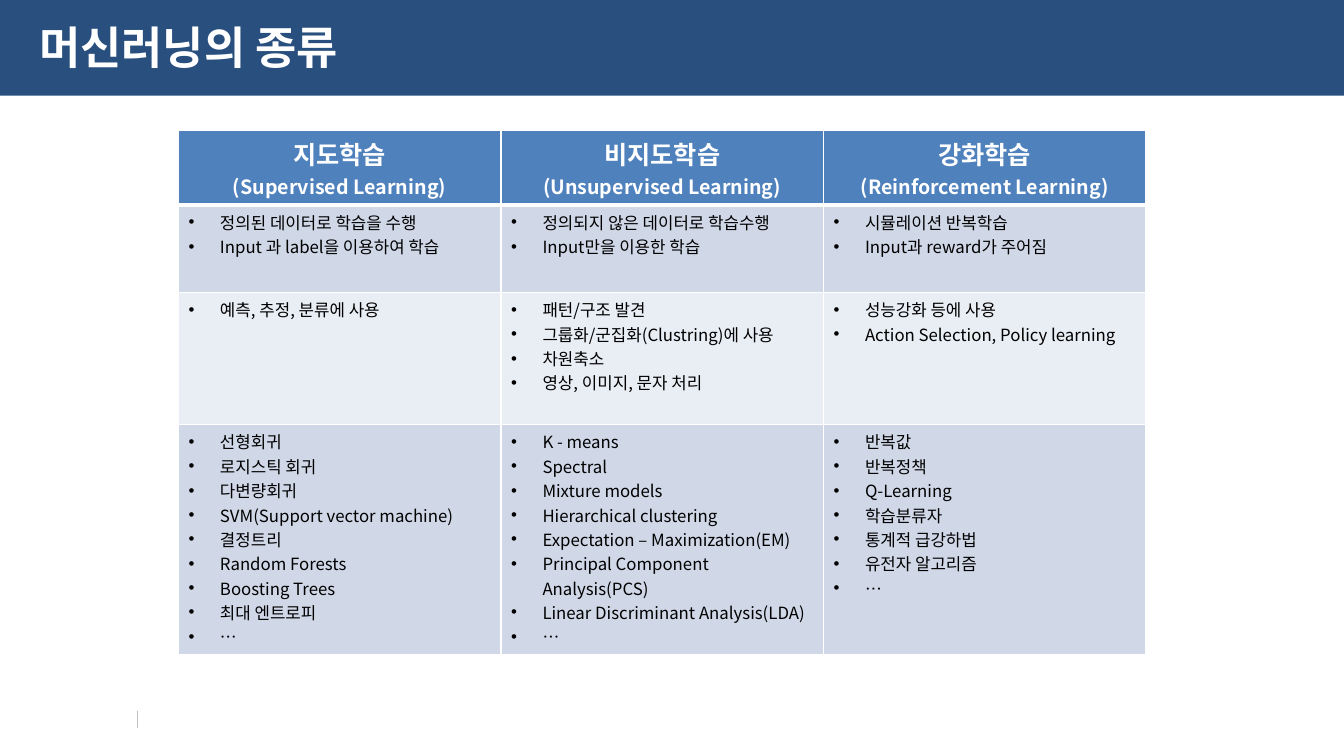
"""Build a slide that compares three kinds of machine learning."""
from dataclasses import dataclass

from lxml.etree import SubElement
from pptx import Presentation
from pptx.dml.color import RGBColor
from pptx.enum.shapes import MSO_CONNECTOR, MSO_SHAPE
from pptx.enum.text import MSO_ANCHOR, PP_ALIGN
from pptx.oxml.ns import qn
from pptx.util import Inches, Pt


@dataclass(frozen=True)
class Theme:
    font: str = "Noto Sans CJK KR"
    white: str = "FFFFFF"
    black: str = "000000"
    navy: str = "284F7D"
    blue: str = "4F81BD"
    bands: tuple = ("D0D8E8", "E9EDF4")
    gray: str = "BFBFBF"
    title: int = 32
    head: int = 18
    sub: int = 14
    body: int = 12
    thin: float = 0.25
    rule: int = 1
    thick: int = 3


HEADS = [
    ("지도학습", "(Supervised Learning)"),
    ("비지도학습", "(Unsupervised Learning)"),
    ("강화학습", "(Reinforcement Learning)"),
]
BODY = [
    [
        ["정의된 데이터로 학습을 수행", "Input 과 label을 이용하여 학습"],
        ["정의되지 않은 데이터로 학습수행", "Input만을 이용한 학습"],
        ["시뮬레이션 반복학습", "Input과 reward가 주어짐"],
    ],
    [
        ["예측, 추정, 분류에 사용"],
        ["패턴/구조 발견", "그룹화/군집화(Clustring)에 사용", "차원축소",
         "영상, 이미지, 문자 처리"],
        ["성능강화 등에 사용", "Action Selection, Policy learning"],
    ],
    [
        ["선형회귀", "로지스틱 회귀", "다변량회귀", "SVM(Support vector machine)",
         "결정트리", "Random Forests", "Boosting Trees", "최대 엔트로피", "…"],
        ["K - means", "Spectral", "Mixture models", "Hierarchical clustering",
         "Expectation – Maximization(EM)", "Principal Component Analysis(PCS)",
         "Linear Discriminant Analysis(LDA)", "…"],
        ["반복값", "반복정책", "Q-Learning", "학습분류자", "통계적 급강하법",
         "유전자 알고리즘", "…"],
    ],
]


class Deck:
    """Draw on one slide, on a grid of 100 columns by 100 rows."""

    def __init__(self, theme):
        self.theme = theme
        self.show = Presentation()
        self.show.slide_width, self.show.slide_height = Inches(13.33), Inches(7.5)
        self.slide = self.show.slides.add_slide(self.show.slide_layouts[6])

    def col(self, count):
        return round(self.show.slide_width * count / 100)

    def row(self, count):
        return round(self.show.slide_height * count / 100)

    def place(self, left, top, width, height):
        return self.col(left), self.row(top), self.col(width), self.row(height)

    def words(self, para, text, size, color, bold=False):
        run = para.add_run()
        run.text = text
        form = {"name": self.theme.font, "size": Pt(size), "bold": bold}
        for key, value in form.items():
            setattr(run.font, key, value)
        run.font.color.rgb = RGBColor.from_string(color)
        SubElement(run.font._element, qn("a:ea"), typeface=self.theme.font)

    def bar(self, box, color):
        shape = self.slide.shapes.add_shape(MSO_SHAPE.RECTANGLE, *self.place(*box))
        shape.shadow.inherit = False
        self.paint(shape, color)
        shape.line.fill.background()

    def line(self, left, top, end, color, width):
        x = self.col(left)
        line = self.slide.shapes.add_connector(
            MSO_CONNECTOR.STRAIGHT, x, self.row(top), x, self.row(end))
        line.line.color.rgb = RGBColor.from_string(color)
        line.line.width = Pt(width)
        SubElement(line._element.spPr, qn("a:effectLst"))

    def title(self, box, text):
        frame = self.slide.shapes.add_textbox(*self.place(*box)).text_frame
        form = {"word_wrap": True, "vertical_anchor": MSO_ANCHOR.MIDDLE}
        for key, value in form.items():
            setattr(frame, key, value)
        self.words(frame.paragraphs[0], text, self.theme.title, self.theme.white, True)

    def edge(self, cell, **widths):
        props = cell._tc.get_or_add_tcPr()
        for side in "LRTB":
            width = Pt(widths.get(side, self.theme.rule))
            line = SubElement(props, qn("a:ln" + side), w=str(width))
            fill = SubElement(line, qn("a:solidFill"))
            SubElement(fill, qn("a:srgbClr"), val=self.theme.white)

    def paint(self, item, color):
        item.fill.solid()
        item.fill.fore_color.rgb = RGBColor.from_string(color)

    def paras(self, cell, count):
        frame = cell.text_frame
        return [frame.paragraphs[0]] + [frame.add_paragraph() for _ in range(count - 1)]

    def head(self, cell, texts):
        theme = self.theme
        self.edge(cell, B=theme.thick)
        self.paint(cell, theme.blue)
        cell.vertical_anchor = MSO_ANCHOR.MIDDLE
        sizes = theme.head, theme.sub
        for para, text, size in zip(self.paras(cell, len(texts)), texts, sizes):
            para.alignment = PP_ALIGN.CENTER
            self.words(para, text, size, theme.white, True)

    def points(self, cell, texts, band, top):
        self.edge(cell, T=top)
        self.paint(cell, self.theme.bands[band % 2])
        cell.vertical_anchor = MSO_ANCHOR.TOP
        dent = self.col(2.34)
        for para, text in zip(self.paras(cell, len(texts)), texts):
            para.alignment = PP_ALIGN.LEFT
            props = para._p.get_or_add_pPr()
            for key, value in {"marL": dent, "indent": -dent}.items():
                props.set(key, str(value))
            SubElement(props, qn("a:buFont"), typeface="Arial")
            SubElement(props, qn("a:buChar"), char="•")
            self.words(para, text, self.theme.body, self.theme.black)

    def table(self, left, top, width, rows, heads, body):
        box = self.place(left, top, width * len(heads), sum(rows))
        table = self.slide.shapes.add_table(len(rows), len(heads), *box).table
        table.horz_banding = False
        for col in table.columns:
            col.width = self.col(width)
        for row, height in zip(table.rows, rows):
            row.height = self.row(height)
        for at, texts in enumerate(heads):
            self.head(table.cell(0, at), texts)
        for band, lists in enumerate(body):
            rule = self.theme.rule if band else self.theme.thick
            for at, texts in enumerate(lists):
                self.points(table.cell(band + 1, at), texts, band, rule)


def main():
    theme = Theme()
    deck = Deck(theme)
    deck.line(10.2, 94, 96.27, theme.gray, theme.thin)
    deck.bar((0, 0, 100, 12.67), theme.navy)
    deck.title((2.18, 1.87, 90, 8.67), "머신러닝의 종류")
    deck.table(13.28, 17.2, 24, (9.87, 11.6, 17.47, 30.4), HEADS, BODY)
    deck.show.save("out.pptx")


if __name__ == "__main__":
    main()
